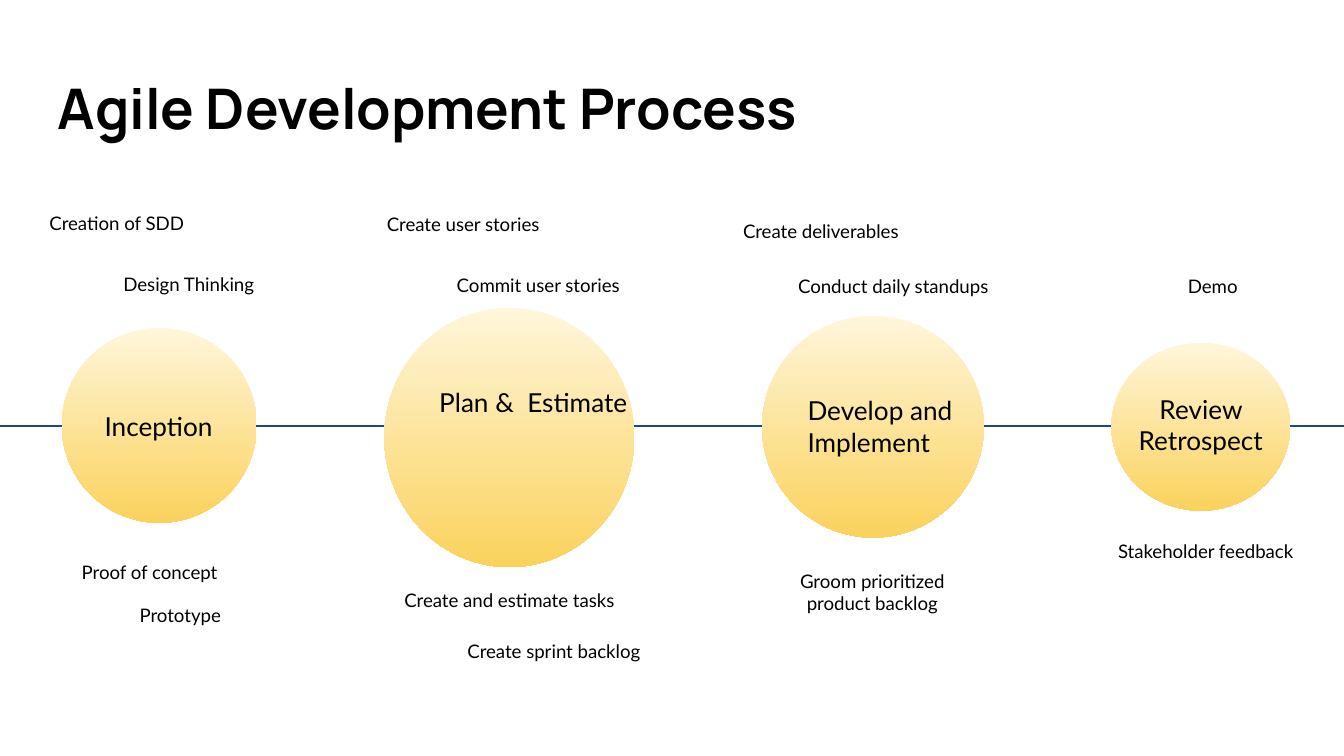
from dataclasses import dataclass

from lxml.etree import SubElement
from pptx import Presentation
from pptx.dml.color import RGBColor
from pptx.enum.shapes import MSO_CONNECTOR, MSO_SHAPE
from pptx.enum.text import MSO_ANCHOR as Anchor, PP_ALIGN as Align
from pptx.oxml.ns import qn
from pptx.slide import Slide
from pptx.util import Inches, Pt

BLACK = RGBColor(0x00, 0x00, 0x00)
NAVY = RGBColor(0x1F, 0x49, 0x7D)
CREAM = RGBColor(0xFF, 0xF6, 0xDB)
GOLD = RGBColor(0xFA, 0xD2, 0x5C)

SLIDE_WIDTH = 10
SLIDE_HEIGHT = SLIDE_WIDTH * 9 / 16
TIMELINE_Y = 3.17
Box = tuple[float, float, float, float]  # left, top, width, height

INSETS = {
    f"margin_{side}": Inches(0.1) for side in ("left", "top", "right", "bottom")
}
TITLE_FONT = {"name": "Manrope", "size": Pt(30), "bold": True}
PHASE_FONT = {"name": "Lato", "size": Pt(14)}
ACTIVITY_FONT = {"name": "Lato", "size": Pt(10)}


@dataclass(frozen=True)
class Label:
    text: str
    box: Box
    align: Align = Align.LEFT


@dataclass(frozen=True)
class Phase:
    circle: Box
    name: Label
    activities: tuple[Label, ...]


PHASES = (
    Phase(
        (0.46, 2.44, 1.45, 1.45),
        Label("Inception", (0.68, 2.84, 1.15, 0.66)),
        (
            Label("Creation of SDD", (0.27, 1.49, 1.77, 0.54)),
            Label("Design Thinking", (0.82, 1.95, 1.96, 0.54)),
            Label("Proof of concept", (0.51, 4.09, 1.7, 0.39)),
            Label("Prototype", (0.94, 4.41, 0.85, 0.35)),
        ),
    ),
    Phase(
        (2.86, 2.29, 1.86, 1.93),
        Label("Plan &  Estimate", (3.17, 2.72, 1.76, 0.54)),
        (
            Label("Create user stories", (2.78, 1.5, 1.77, 0.35)),
            Label("Commit user stories", (3.3, 1.95, 1.58, 0.28)),
            Label("Create and estimate tasks", (2.91, 4.3, 2.08, 0.35)),
            Label("Create sprint backlog", (3.38, 4.68, 1.77, 0.39)),
        ),
    ),
    Phase(
        (5.67, 2.35, 1.65, 1.65),
        Label("Develop and Implement", (5.91, 2.84, 1.99, 0.66)),
        (
            Label("Create deliverables", (5.43, 1.55, 1.45, 0.39)),
            Label("Conduct daily standups", (5.84, 1.96, 1.9, 0.49)),
            Label("Groom prioritized\nproduct backlog",
                  (5.74, 4.14, 1.5, 0.54), Align.CENTER),
        ),
    ),
    Phase(
        (8.27, 2.55, 1.33, 1.25),
        Label("Review Retrospect", (8.27, 2.81, 1.33, 0.7), Align.CENTER),
        (
            Label("Demo", (8.74, 1.96, 0.85, 0.35)),
            Label("Stakeholder feedback", (8.22, 3.93, 1.58, 0.39)),
        ),
    ),
)


def apply_format(target: object, values: dict) -> None:
    for attribute, value in values.items():
        setattr(target, attribute, value)


def add_label(slide: Slide, label: Label, font: dict,
              anchor: Anchor = Anchor.TOP) -> None:
    frame = slide.shapes.add_textbox(*map(Inches, label.box)).text_frame
    apply_format(frame, INSETS | {"word_wrap": True, "vertical_anchor": anchor})
    frame.text = label.text
    for paragraph in frame.paragraphs:
        paragraph.alignment = label.align
        for run in paragraph.runs:
            apply_format(run.font, font)
            run.font.color.rgb = BLACK


def add_timeline(slide: Slide) -> None:
    y = Inches(TIMELINE_Y)
    timeline = slide.shapes.add_connector(
        MSO_CONNECTOR.STRAIGHT, Inches(0), y, Inches(SLIDE_WIDTH), y)
    timeline.line.color.rgb = NAVY
    timeline.line.width = Pt(1.5)
    SubElement(timeline._element.spPr, qn("a:effectLst"))


def add_phase(slide: Slide, phase: Phase) -> None:
    circle = slide.shapes.add_shape(MSO_SHAPE.OVAL, *map(Inches, phase.circle))
    circle.shadow.inherit = False
    circle.line.fill.background()
    circle.fill.gradient()
    circle.fill.gradient_angle = 270  # counter-clockwise: top to bottom
    for stop, color in zip(circle.fill.gradient_stops, (CREAM, GOLD)):
        stop.color.rgb = color
    add_label(slide, phase.name, PHASE_FONT, Anchor.MIDDLE)
    for activity in phase.activities:
        add_label(slide, activity, ACTIVITY_FONT)


def main() -> None:
    deck = Presentation()
    deck.slide_width = Inches(SLIDE_WIDTH)
    deck.slide_height = Inches(SLIDE_HEIGHT)
    slide = deck.slides.add_slide(deck.slide_layouts[6])

    add_timeline(slide)
    add_label(slide, Label("Agile Development Process", (0.33, 0.45, 9.32, 0.7)),
              TITLE_FONT)
    for phase in PHASES:
        add_phase(slide, phase)
    deck.save("out.pptx")


if __name__ == "__main__":
    main()
